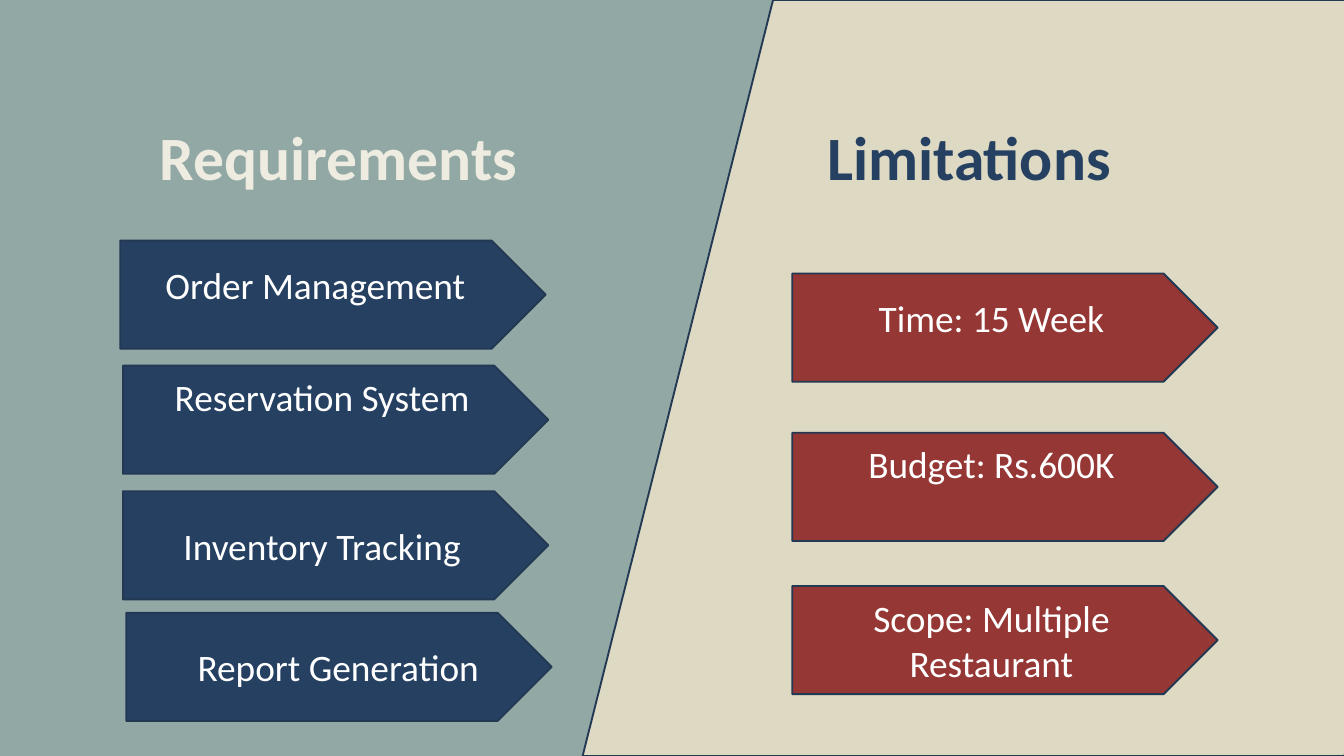
from dataclasses import dataclass

from pptx import Presentation
from pptx.dml.color import RGBColor
from pptx.enum.shapes import MSO_SHAPE as Preset
from pptx.enum.text import MSO_ANCHOR as Anchor, PP_ALIGN as Align
from pptx.shapes.autoshape import Shape
from pptx.slide import Slide
from pptx.util import Inches, Pt

SAGE = RGBColor(0x92, 0xA8, 0xA5)
SAND = RGBColor(0xDD, 0xD9, 0xC3)
CREAM = RGBColor(0xEE, 0xEC, 0xE1)
NAVY = RGBColor(0x25, 0x40, 0x61)
OUTLINE = RGBColor(0x23, 0x39, 0x53)
RED = RGBColor(0x95, 0x37, 0x35)
WHITE = RGBColor(0xFF, 0xFF, 0xFF)

FONT = "Calibri"
ARROW_SIZE = Inches(6.33), Inches(1.61)
HEADING_SIZE = Inches(8.5), Inches(1.61)
HEADING_TOP = Inches(1.51)


@dataclass(frozen=True)
class Arrow:
    """An arrow label; raised, indent and outdent add to its text margins."""

    text: str
    left: float
    top: float
    fill: RGBColor
    raised: float = 0
    indent: float = 0
    outdent: float = 0


ARROWS = (
    Arrow("Order Management", 1.79, 3.58, NAVY, raised=0.3, outdent=0.12),
    Arrow("Reservation System", 1.83, 5.44, NAVY, raised=0.68),
    Arrow("Inventory Tracking", 1.83, 7.31, NAVY),
    Arrow("Report Generation", 1.88, 9.12, NAVY, indent=0.38),
    Arrow("Time: 15 Week", 11.79, 4.07, RED, raised=0.3),
    Arrow("Budget: Rs.600K", 11.79, 6.44, RED, raised=0.68),
    Arrow("Scope: Multiple Restaurant", 11.79, 8.72, RED),
)


def write_text(shape: Shape, text: str, size: int, color: RGBColor, bold: bool = False) -> None:
    frame = shape.text_frame
    frame.word_wrap = True
    frame.vertical_anchor = Anchor.MIDDLE
    paragraph = frame.paragraphs[0]
    paragraph.alignment = Align.CENTER
    run = paragraph.add_run()
    run.text = text
    run.font.name = FONT
    run.font.size = Pt(size)
    run.font.bold = bold
    run.font.color.rgb = color


def style_shape(shape: Shape, fill: RGBColor) -> None:
    shape.shadow.inherit = False
    shape.fill.solid()
    shape.fill.fore_color.rgb = fill
    shape.line.color.rgb = OUTLINE
    shape.line.width = Pt(2)


def draw_arrow(slide: Slide, arrow: Arrow) -> None:
    shape = slide.shapes.add_shape(
        Preset.PENTAGON, Inches(arrow.left), Inches(arrow.top), *ARROW_SIZE
    )
    style_shape(shape, arrow.fill)
    write_text(shape, arrow.text, 40, WHITE)
    frame = shape.text_frame
    frame.margin_left = Inches(0.1 + arrow.indent)
    frame.margin_right = Inches(0.1 + arrow.outdent)
    frame.margin_bottom = Inches(0.05 + arrow.raised)


def draw_headings(slide: Slide) -> None:
    title = slide.shapes.title
    title.left, title.top = Inches(0.79), HEADING_TOP
    title.width, title.height = HEADING_SIZE
    write_text(title, "Requirements", 66, CREAM, bold=True)
    limitations = slide.shapes.add_textbox(Inches(10.17), HEADING_TOP, *HEADING_SIZE)
    write_text(limitations, "Limitations", 66, NAVY, bold=True)


def main() -> None:
    presentation = Presentation()
    presentation.slide_width = Inches(20)
    presentation.slide_height = Inches(11.25)
    slide = presentation.slides.add_slide(presentation.slide_layouts[5])
    slide.background.fill.solid()
    slide.background.fill.fore_color.rgb = SAGE

    panel = slide.shapes.add_shape(
        Preset.FLOWCHART_DATA, Inches(8.67), 0, Inches(14.17), Inches(11.25)
    )
    style_shape(panel, SAND)
    draw_headings(slide)
    for arrow in ARROWS:
        draw_arrow(slide, arrow)
    presentation.save("out.pptx")


if __name__ == "__main__":
    main()
